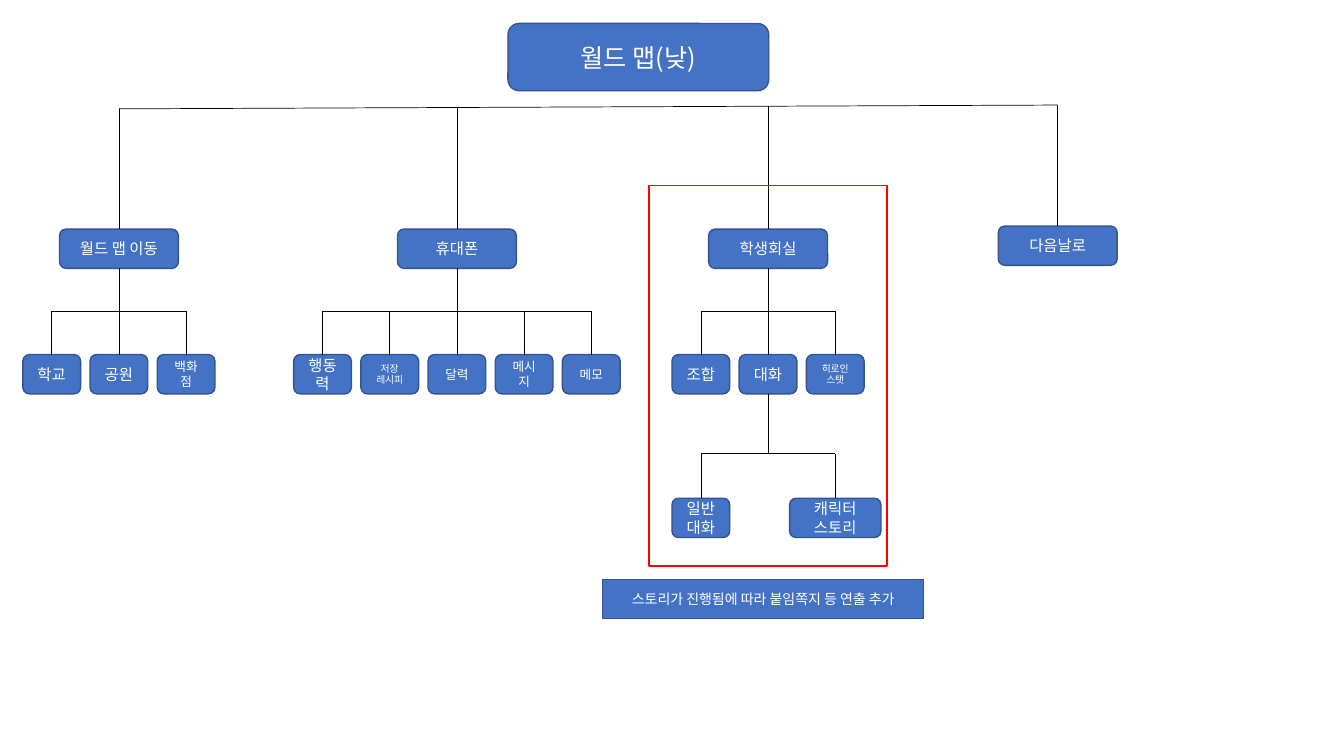
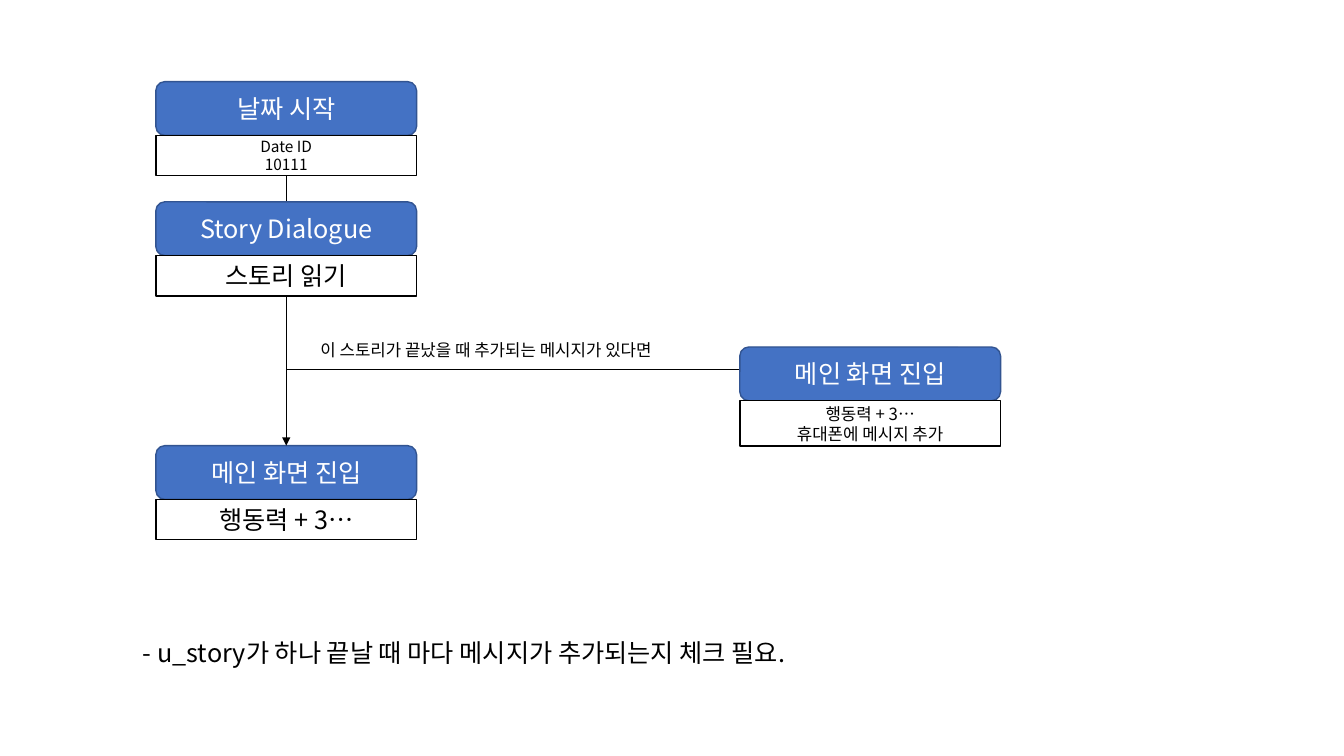
from lxml.etree import SubElement
from pptx import Presentation
from pptx.dml.color import RGBColor
from pptx.enum.shapes import MSO_CONNECTOR, MSO_SHAPE
from pptx.enum.text import MSO_ANCHOR, MSO_AUTO_SIZE, PP_ALIGN
from pptx.oxml.ns import qn
from pptx.util import Inches, Pt

WIDE, HIGH = Inches(13.333), Inches(7.5)
FONT = "Noto Sans CJK KR"
INK = {"blue": "4472C4", "edge": "325491", "white": "FFFFFF",
       "black": "000000", "red": "FF0000"}

# Every length below is a percent of the slide's width or height
BIG = 19.4                # width of title box and cards
NODE, TALL = 8.85, 5.2    # branch box width, height of all tree boxes
LEAF, STEP = 4.3, 5       # leaf box width, distance between leaf centres
HEAD, BODY = 7.1, 5.35    # heights of the two halves of a card


def tint(name):
    return RGBColor.from_string(INK[name])


def px(share):
    return round(WIDE * share / 100)


def py(share):
    return round(HIGH * share / 100)


# Text, one paragraph per line
def write(frame, text, size, ink, align):
    frame.word_wrap = True
    for i, line in enumerate(text.split("\n")):
        para = frame.paragraphs[0] if i == 0 else frame.add_paragraph()
        para.alignment = align
        run = para.add_run()
        run.text = line
        run.font.size = Pt(size)
        run.font.name = FONT
        run.font.color.rgb = tint(ink)
        SubElement(run.font._element, qn("a:ea")).set("typeface", FONT)


def box(slide, x, y, w, h, text="", size=11, fill="blue", edge="edge",
        ink="white", kind=MSO_SHAPE.ROUNDED_RECTANGLE):
    shape = slide.shapes.add_shape(kind, px(x), py(y), px(w), py(h))
    shape.shadow.inherit = False
    if fill:
        shape.fill.solid()
        shape.fill.fore_color.rgb = tint(fill)
    else:
        shape.fill.background()
    shape.line.color.rgb = tint(edge)
    shape.line.width = Pt(1)
    if text:
        shape.text_frame.vertical_anchor = MSO_ANCHOR.MIDDLE
        write(shape.text_frame, text, size, ink, PP_ALIGN.CENTER)
    return shape


def label(slide, x, y, w, h, text, size):
    area = slide.shapes.add_textbox(px(x), py(y), px(w), py(h))
    write(area.text_frame, text, size, "black", PP_ALIGN.LEFT)
    area.text_frame.auto_size = MSO_AUTO_SIZE.SHAPE_TO_FIT_TEXT


# Line from a point or a box's bottom to a point or a box's top
def link(slide, start, end, arrow=False):
    ends = [(px(e[0]), py(e[1])) if isinstance(e, tuple) else (0, 0)
            for e in (start, end)]
    line = slide.shapes.add_connector(MSO_CONNECTOR.STRAIGHT, *ends[0], *ends[1])
    if not isinstance(start, tuple):
        line.begin_connect(start, 2)
    if not isinstance(end, tuple):
        line.end_connect(end, 0)
    line.line.color.rgb = tint("black")
    line.line.width = Pt(0.5)
    if arrow:
        SubElement(line.line._get_or_add_ln(), qn("a:tailEnd")).set("type", "triangle")
    SubElement(line._element.spPr, qn("a:effectLst"))


# Row of leaves hung below a box; a leaf is (text, size, width)
def hang(slide, top, mid, rail, y, leaves, step=STEP):
    half = (len(leaves) - 1) / 2
    link(slide, (mid - half * step, rail), (mid + half * step, rail))
    made = []
    for i, (text, size, w) in enumerate(leaves):
        x = mid + (i - half) * step
        leaf = box(slide, x - w / 2, y, w, TALL, text, size)
        link(slide, top if i == half else (x, rail), leaf)
        made.append(leaf)
    if len(leaves) % 2 == 0:
        link(slide, top, (mid, rail))
    return made


# White box under a blue one
def card(slide, x, y, title, text, size, body=BODY):
    head = box(slide, x, y, BIG, HEAD, title, 18)
    foot = box(slide, x, y + HEAD, BIG, body, text, size, "white", "black",
               "black", MSO_SHAPE.RECTANGLE)
    return head, foot


def world(slide):
    box(slide, 37.8, 3.1, BIG, 8.9, "월드 맵(낮)", 18)
    tree = [
        (8.85, 30.3, "월드 맵 이동", [("학교", 11), ("공원", 11), ("백화점", 9)]),
        (34, 30.3, "휴대폰", [("행동력", 11), ("저장\n레시피", 7), ("달력", 9),
                           ("메시지", 9), ("메모", 9)]),
        (57.15, 30.3, "학생회실", [("조합", 11), ("대화", 11), ("히로인\n스탯", 7)]),
        (78.7, 29.9, "다음날로", []),
    ]

    # Top rail, rising slightly to the right
    left, right, low, high = tree[0][0], tree[-1][0], 14.4, 13.9
    link(slide, (left, low), (right, high))

    # Branches and their leaves
    for mid, y, text, items in tree:
        node = box(slide, mid - NODE / 2, y, NODE, TALL, text)
        rise = (low - high) * (mid - left) / (right - left)
        link(slide, (mid, low - rise), node)
        if items:
            leaves = hang(slide, node, mid, 41.2, 46.9,
                          [(*item, LEAF) for item in items])
        if text == "학생회실":
            hang(slide, leaves[1], mid, 60, 65.9,
                 [("일반 대화", 11, LEAF), ("캐릭터 스토리", 11, 6.8)], 2 * STEP)

    # Red frame and its note
    box(slide, 48.3, 24.5, 17.7, 50.4, fill=None, edge="red",
        kind=MSO_SHAPE.RECTANGLE)
    box(slide, 44.85, 76.7, 23.85, 5.1, "스토리가 진행됨에 따라 붙임쪽지 등 연출 추가",
        10, kind=MSO_SHAPE.RECTANGLE)


def story(slide):
    x, side = 11.6, 55.05

    # Main flow; the middle card covers the arrow
    _, date = card(slide, x, 10.8, "날짜 시작", "Date ID\n10111", 11)
    main_head, _ = card(slide, x, 58.95, "메인 화면 진입", "행동력 + 3…", 18)
    link(slide, date, main_head, arrow=True)
    card(slide, x, 26.7, "Story Dialogue", "스토리 읽기", 18)

    # Side case
    link(slide, (x + BIG / 2, 48.9), (side, 48.9))
    label(slide, 23.1, 44.3, 30.2, 4, "이 스토리가 끝났을 때 추가되는 메시지가 있다면", 12)
    card(slide, side, 45.9, "메인 화면 진입", "행동력 + 3…\n휴대폰에 메시지 추가", 12, 6)

    label(slide, 9.9, 83.7, 54.8, 5.3,
          "- u_story가 하나 끝날 때 마다 메시지가 추가되는지 체크 필요.", 18)


def main():
    deck = Presentation()
    deck.slide_width, deck.slide_height = WIDE, HIGH
    for draw in (world, story):
        draw(deck.slides.add_slide(deck.slide_layouts[6]))
    deck.save("out.pptx")


if __name__ == "__main__":
    main()
